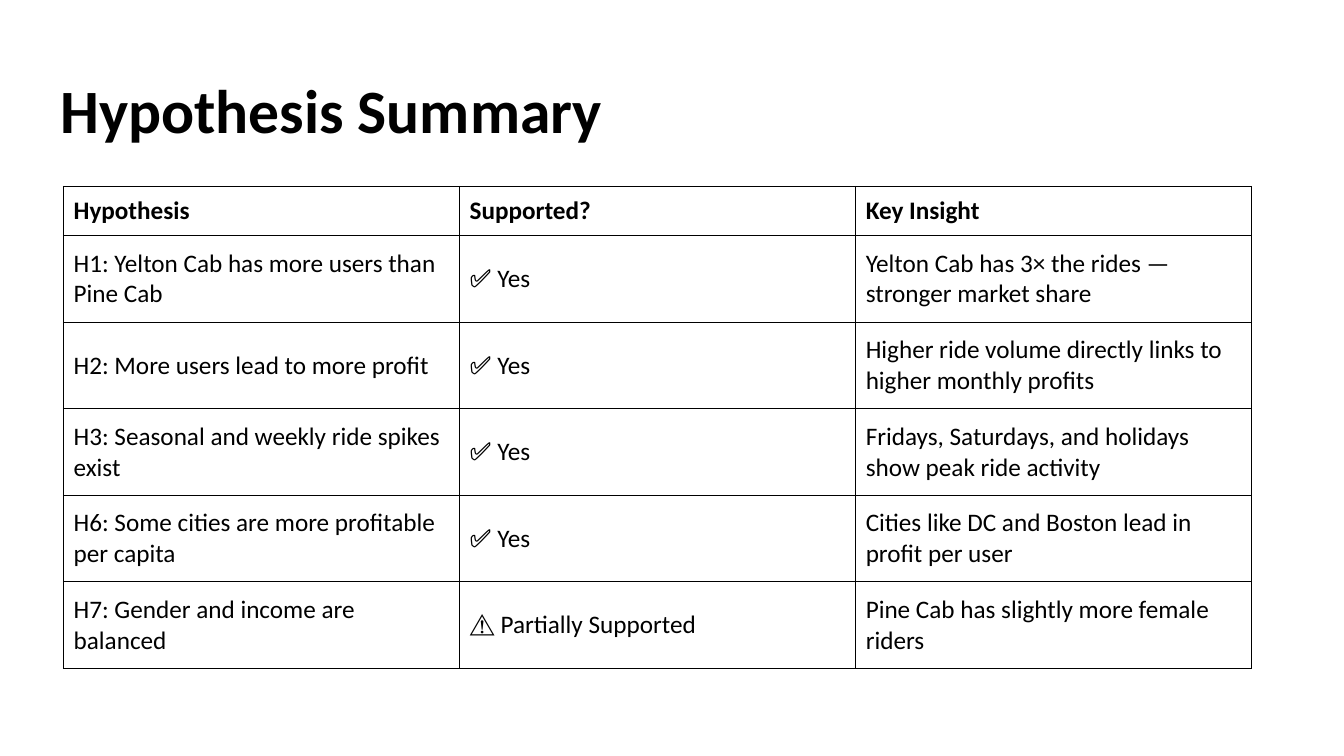
from dataclasses import dataclass

from lxml import etree
from pptx import Presentation
from pptx.dml.color import RGBColor
from pptx.enum import text
from pptx.oxml import ns
from pptx.slide import Slide
from pptx.table import _Cell
from pptx.text.text import _Paragraph
from pptx.util import Pt


@dataclass(frozen=True)
class Theme:
    font: str = "Calibri"
    ink: str = "000000"
    title_size: float = 44
    table_size: float = 18
    border: float = 1


@dataclass(frozen=True)
class Finding:
    hypothesis: str
    supported: str
    insight: str


THEME = Theme()
HEADER = Finding("Hypothesis", "Supported?", "Key Insight")
FINDINGS = [
    Finding("H1: Yelton Cab has more users than Pine Cab", "✅ Yes",
            "Yelton Cab has 3× the rides — stronger market share"),
    Finding("H2: More users lead to more profit", "✅ Yes",
            "Higher ride volume directly links to higher monthly profits"),
    Finding("H3: Seasonal and weekly ride spikes exist", "✅ Yes",
            "Fridays, Saturdays, and holidays show peak ride activity"),
    Finding("H6: Some cities are more profitable per capita", "✅ Yes",
            "Cities like DC and Boston lead in profit per user"),
    Finding("H7: Gender and income are balanced", "⚠️ Partially Supported",
            "Pine Cab has slightly more female riders"),
]
TABLE_LEFT, TABLE_TOP = 45.4, 133.2
COLUMN_WIDTH = 282.9
HEADER_HEIGHT, ROW_HEIGHT = 35.2, 61.8


def add_run(p: _Paragraph, wording: str, size: float, bold: bool) -> None:
    r = p.add_run()
    r.text = wording
    r.font.name = THEME.font
    r.font.size = Pt(size)
    r.font.bold = bold
    r.font.color.rgb = RGBColor.from_string(THEME.ink)


def set_borders(cell: _Cell) -> None:
    """Draw all four sides; the schema wants the lines ahead of the fill."""
    tc_pr = cell._tc.get_or_add_tcPr()
    for i, side in enumerate(("lnL", "lnR", "lnT", "lnB")):
        ln = etree.Element(ns.qn(f"a:{side}"), w=str(Pt(THEME.border)))
        fill = etree.SubElement(ln, ns.qn("a:solidFill"))
        etree.SubElement(fill, ns.qn("a:srgbClr"), val=THEME.ink)
        tc_pr.insert(i, ln)


def add_title(s: Slide, wording: str) -> None:
    sp = s.shapes.title
    sp.left, sp.top, sp.width, sp.height = Pt(36), Pt(28.8), Pt(858.2), Pt(104.4)
    tf = sp.text_frame
    tf.vertical_anchor = text.MSO_ANCHOR.MIDDLE
    p = tf.paragraphs[0]
    p.alignment = text.PP_ALIGN.LEFT
    p.line_spacing = 0.9
    add_run(p, wording, THEME.title_size, True)


def add_findings_table(s: Slide, rows: list[Finding]) -> None:
    heights = [HEADER_HEIGHT] + [ROW_HEIGHT] * (len(rows) - 1)
    table = s.shapes.add_table(
        len(rows), 3, Pt(TABLE_LEFT), Pt(TABLE_TOP),
        Pt(3 * COLUMN_WIDTH), Pt(sum(heights))).table
    table.first_row = table.horz_banding = False
    for column in table.columns:
        column.width = Pt(COLUMN_WIDTH)
    for i, (finding, height) in enumerate(zip(rows, heights)):
        table.rows[i].height = Pt(height)
        wordings = (finding.hypothesis, finding.supported, finding.insight)
        for cell, wording in zip(table.rows[i].cells, wordings):
            cell.fill.background()
            cell.vertical_anchor = text.MSO_ANCHOR.MIDDLE
            set_borders(cell)
            add_run(cell.text_frame.paragraphs[0], wording, THEME.table_size, i == 0)


def main() -> None:
    prs = Presentation()
    prs.slide_width, prs.slide_height = Pt(960), Pt(540)
    s = prs.slides.add_slide(prs.slide_layouts.get_by_name("Title Only"))
    add_title(s, "Hypothesis Summary")
    add_findings_table(s, [HEADER, *FINDINGS])
    prs.save("out.pptx")


if __name__ == "__main__":
    main()
